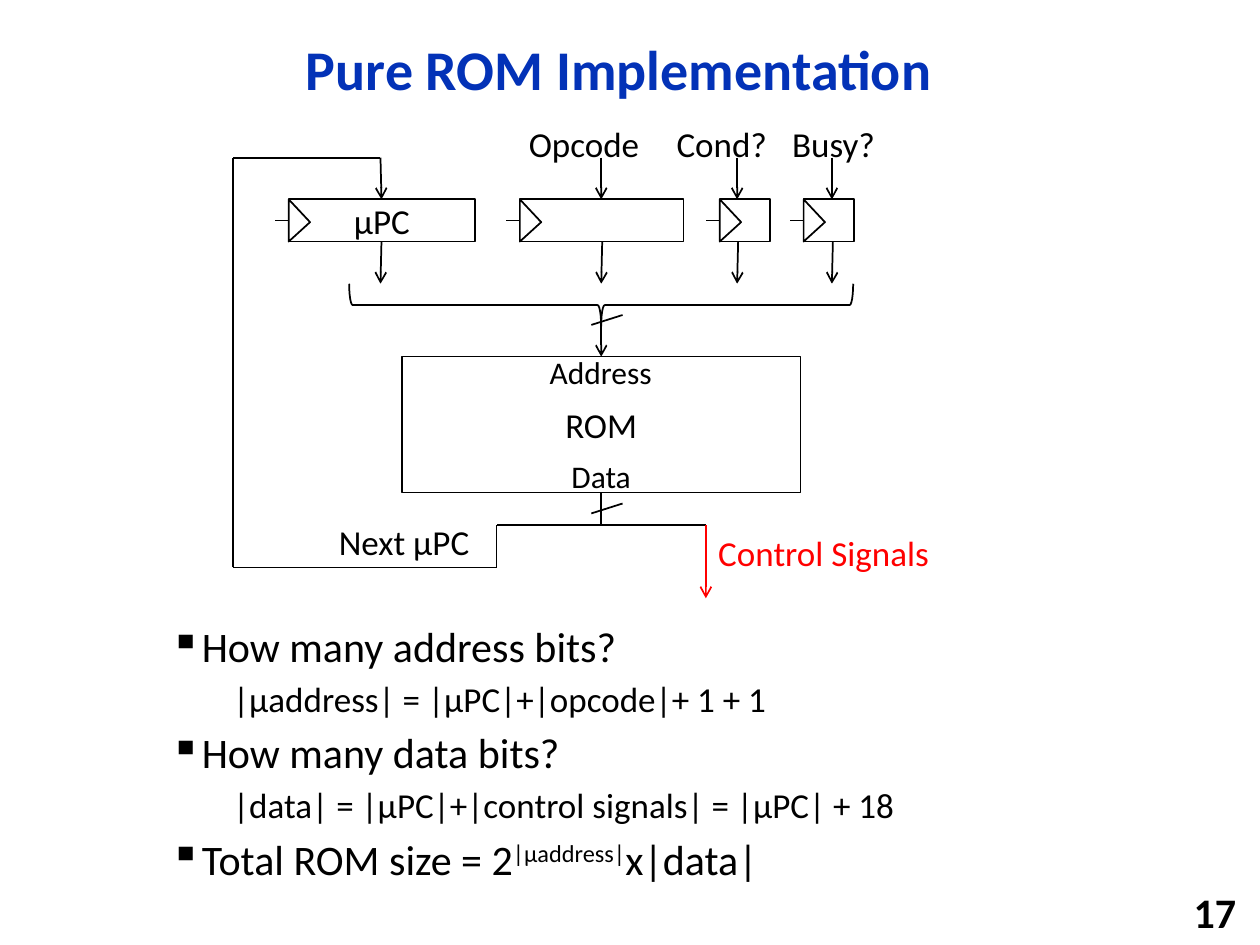
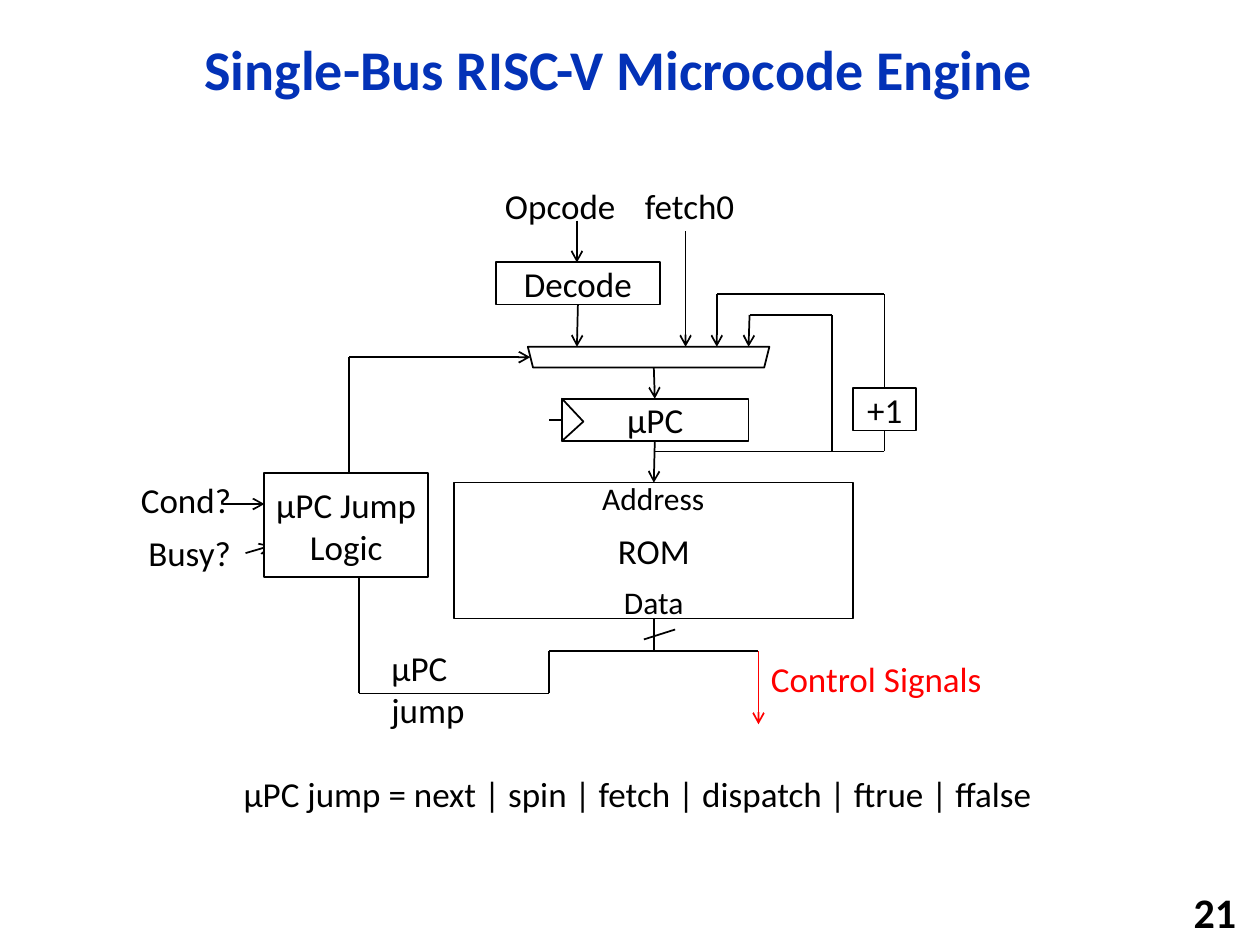
from dataclasses import dataclass
from itertools import pairwise

from lxml import etree
from pptx import Presentation
from pptx.dml.color import RGBColor
from pptx.enum.shapes import MSO_CONNECTOR, MSO_SHAPE
from pptx.enum.text import MSO_ANCHOR, PP_ALIGN
from pptx.oxml.ns import qn
from pptx.util import Cm, Pt

STRAIGHT = MSO_CONNECTOR.STRAIGHT
RECTANGLE, TRIANGLE = MSO_SHAPE.RECTANGLE, MSO_SHAPE.ISOSCELES_TRIANGLE
TRAPEZOID, BRACE = MSO_SHAPE.TRAPEZOID, MSO_SHAPE.LEFT_BRACE
LEFT, CENTER, RIGHT = PP_ALIGN.LEFT, PP_ALIGN.CENTER, PP_ALIGN.RIGHT
TOP, MIDDLE = MSO_ANCHOR.TOP, MSO_ANCHOR.MIDDLE


@dataclass(frozen=True)
class Theme:
    """Colours, type sizes and line width of the deck."""
    font: str = "Calibri"
    title_color: RGBColor = RGBColor(0x03, 0x32, 0xB7)
    ink: RGBColor = RGBColor(0, 0, 0)
    paper: RGBColor = RGBColor(255, 255, 255)
    control: RGBColor = RGBColor(255, 0, 0)
    title: int = 32
    question: int = 24
    label: int = 20
    port: int = 18
    line: float = 1


THEME = Theme()
REGISTER_HEIGHT = 0.85


def write(paragraph, text, *, size=THEME.label, color=THEME.ink, bold=False,
          align=LEFT, raised=0):
    """Add one formatted run to a paragraph."""
    paragraph.alignment = align
    run = paragraph.add_run()
    run.text = text
    run.font.name, run.font.size, run.font.bold = THEME.font, Pt(size), bold
    run.font.color.rgb = color
    if raised:
        run.font._element.set("baseline", str(raised * 1000))


def text_frame(slide, left, top, width, height, anchor=TOP, wrap=True):
    """Add a text box and return its frame."""
    frame = slide.shapes.add_textbox(Cm(left), Cm(top), Cm(width), Cm(height)).text_frame
    frame.word_wrap, frame.vertical_anchor = wrap, anchor
    return frame


def label(slide, text, left, top, width, size=THEME.label, color=THEME.ink):
    """Add a one-line diagram label."""
    frame = text_frame(slide, left, top, width, 0.05 * size + 0.12, wrap=False)
    write(frame.paragraphs[0], text, size=size, color=color)


def block(slide, kind, left, top, width, height, text="", rotation=0):
    """Add a white outlined shape, with centred text if given."""
    shape = slide.shapes.add_shape(kind, Cm(left), Cm(top), Cm(width), Cm(height))
    shape.rotation = rotation
    shape.shadow.inherit = False
    shape.fill.solid()
    shape.fill.fore_color.rgb = THEME.paper
    shape.line.color.rgb = THEME.ink
    shape.line.width = Pt(THEME.line)
    if text:
        frame = shape.text_frame
        frame.word_wrap, frame.vertical_anchor = True, MIDDLE
        frame.margin_left = frame.margin_right = frame.margin_top = frame.margin_bottom = 0
        write(frame.paragraphs[0], text, align=CENTER)
    return shape


def wire(slide, *points, arrow=False, color=THEME.ink):
    """Join points by straight lines, with an arrowhead at the last point if asked."""
    for (x1, y1), (x2, y2) in pairwise(points):
        segment = slide.shapes.add_connector(STRAIGHT, Cm(x1), Cm(y1), Cm(x2), Cm(y2))
        segment.line.color.rgb = color
        segment.line.width = Pt(THEME.line)
        properties = segment._element.spPr
        etree.SubElement(properties, qn("a:effectLst"))
    if arrow:
        etree.SubElement(properties.find(qn("a:ln")), qn("a:tailEnd"), type="arrow")


def register(slide, left, top, width, text=""):
    """Add a clocked register with its clock wire and notch."""
    middle, notch = top + REGISTER_HEIGHT / 2, 0.43
    wire(slide, (left, middle), (left - 0.27, middle))
    block(slide, RECTANGLE, left, top, width, REGISTER_HEIGHT, text)
    clock = block(slide, TRIANGLE, left + (notch - REGISTER_HEIGHT) / 2, middle - notch / 2,
                  REGISTER_HEIGHT, notch, rotation=90)
    clock.adjustments[0] = 0.541


def bus_slash(slide, center, y):
    """Mark a wire as a bus."""
    wire(slide, (center - 0.2, y), (center + 0.43, y - 0.2))


def rom(slide, center, top, jump_text):
    """Add the ROM with its two outputs and return the end of the jump output."""
    width, height, reach = 8.04, 2.74, 2.11
    bottom, fork = top + height, top + 3.4
    block(slide, RECTANGLE, center - width / 2, top, width, height, "ROM")
    label(slide, "Address", center - 1.29, top - 0.2, 2.62, THEME.port)
    label(slide, "Data", center - 0.85, top + 1.9, 1.73, THEME.port)
    wire(slide, (center, bottom), (center, fork))
    bus_slash(slide, center, bottom + 0.42)
    jump_end = (center - reach, fork + 0.85)
    wire(slide, (center + reach, fork), (center - reach, fork), jump_end)
    wire(slide, (center + reach, fork), (center + reach, fork + 1.47),
         arrow=True, color=THEME.control)
    label(slide, "Control Signals", center + reach, fork, 4.83, color=THEME.control)
    label(slide, jump_text, center - 5.54, fork - 0.22, 3.25)
    return jump_end


def new_slide(deck, title, number):
    """Add a blank slide with title and page number."""
    slide = deck.slides.add_slide(deck.slide_layouts[6])
    heading = text_frame(slide, 2.34, 0.43, 20.27, 2.06, MIDDLE).paragraphs[0]
    heading.line_spacing = 0.9
    write(heading, title, size=THEME.title, color=THEME.title_color, bold=True, align=CENTER)
    page = text_frame(slide, 19.89, 17.98, 5.28, 0.81, MIDDLE).paragraphs[0]
    write(page, str(number), size=THEME.question, bold=True, align=RIGHT)
    return slide


def questions(slide, items):
    """List bulleted questions and indented answers, each given as (is_question, runs)."""
    frame = text_frame(slide, 3.18, 12.5, 16.08, 4.65)
    for index, (is_question, runs) in enumerate(items):
        paragraph = frame.add_paragraph() if index else frame.paragraphs[0]
        size = THEME.question if is_question else THEME.label
        paragraph.line_spacing = 0.9
        paragraph.space_before = Pt(0.3 * size if index else 0)
        properties = paragraph._p.get_or_add_pPr()
        properties.set("marL", str(Cm(0.64 if is_question else 1.27)))
        properties.set("indent", str(Cm(-0.64 if is_question else 0)))
        if is_question:
            etree.SubElement(properties, qn("a:buChar"), char="▪")
        for text, raised in runs:
            write(paragraph, text, size=size, raised=raised)


def pure_rom(deck):
    """Build the pure ROM slide."""
    slide = new_slide(deck, "Pure ROM Implementation", 17)
    center, rom_top = 12.12, 7.19
    input_top, register_top, output_end = 3.18, 4.02, 5.72
    register_bottom = register_top + REGISTER_HEIGHT

    register(slide, 5.82, register_top, 3.76, "µPC")
    wire(slide, (7.69, register_bottom), (7.67, output_end), arrow=True)
    for text, text_left, text_width, left, width, port in [
        ("Opcode", 10.41, 2.77, 10.48, 3.3, center),
        ("Cond?", 13.39, 2.34, 14.51, 1.02, 14.86),
        ("Busy?", 15.72, 2.21, 16.2, 1.02, 16.77),
    ]:
        register(slide, left, register_top, width)
        label(slide, text, text_left, 2.34, text_width)
        wire(slide, (port, input_top), (port, register_top), arrow=True)
        wire(slide, (port + 0.02, register_bottom), (port, output_end), arrow=True)

    block(slide, BRACE, center - 0.43, 1.07, 0.86, 10.16, rotation=270)
    jump_end = rom(slide, center, rom_top, "Next µPC")
    wire(slide, (center, 6.58), (center, rom_top), arrow=True)
    bus_slash(slide, center, 6.55)
    wire(slide, jump_end, (4.7, jump_end[1]), (4.7, input_top), (7.67, input_top),
         (7.69, register_top), arrow=True)

    questions(slide, [
        (True, [("How many address bits?", 0)]),
        (False, [("|µaddress| = |µPC|+|opcode|+ 1 + 1", 0)]),
        (True, [("How many data bits?", 0)]),
        (False, [("|data| = |µPC|+|control signals| = |µPC| + 18", 0)]),
        (True, [("Total ROM size = 2", 0), ("|µaddress|", 30), ("x|data|", 0)]),
    ])


def microcode_engine(deck):
    """Build the microcode engine slide."""
    slide = new_slide(deck, "Single-Bus RISC-V Microcode Engine", 21)
    center, rom_top, mux_top, upc_top = 13.18, 9.73, 6.99, 8.04
    decode_x, decode_top, feedback_y, increment_x = 11.63, 5.29, 9.1, 17.83

    label(slide, "Opcode", 9.93, 3.6, 2.77)
    label(slide, "fetch0", 12.75, 3.6, 2.36)
    wire(slide, (decode_x, 4.45), (decode_x, decode_top), arrow=True)
    block(slide, RECTANGLE, 10, decode_top, 3.3, 0.85, "Decode")
    wire(slide, (decode_x + 0.02, decode_top + 0.85), (decode_x, mux_top), arrow=True)
    wire(slide, (13.82, 4.66), (13.82, mux_top), arrow=True)
    block(slide, TRAPEZOID, 10.64, mux_top, 4.87, 0.42, rotation=180)
    wire(slide, (center, mux_top + 0.42), (center + 0.02, upc_top), arrow=True)
    register(slide, 11.33, upc_top, 3.76, "µPC")
    jump_end = rom(slide, center, rom_top, "µPC jump")
    wire(slide, (center + 0.02, upc_top + REGISTER_HEIGHT), (center, rom_top), arrow=True)

    wire(slide, (center, feedback_y), (increment_x, feedback_y), (increment_x, 8.68))
    wire(slide, (16.77, feedback_y), (16.77, 6.35), (15.11, 6.35), (15.09, mux_top), arrow=True)
    block(slide, RECTANGLE, 17.2, 7.83, 1.27, 0.85, "+1")
    wire(slide, (increment_x, 7.83), (increment_x, 5.93), (14.45, 5.93), (14.45, mux_top),
         arrow=True)

    label(slide, "Cond?", 2.59, 9.53, 2.34)
    label(slide, "Busy?", 2.74, 10.59, 2.21)
    wire(slide, (4.5, 10.16), (5.33, 10.16), arrow=True)
    wire(slide, (4.95, 11.15), (5.46, 11), arrow=True)
    block(slide, RECTANGLE, 5.33, 9.53, 3.3, 2.11, "µPC Jump Logic")
    wire(slide, jump_end, (7.24, jump_end[1]), (7.24, 11.64))
    wire(slide, (7.04, 9.53), (7.04, 7.2), (10.69, 7.2), arrow=True)
    label(slide, "µPC jump = next | spin | fetch | dispatch | ftrue | ffalse", 4.66, 15.45, 16.59)


def main():
    """Build and save the deck."""
    deck = Presentation()
    deck.slide_width, deck.slide_height = Cm(25.4), Cm(19.05)
    pure_rom(deck)
    microcode_engine(deck)
    deck.save("out.pptx")


if __name__ == "__main__":
    main()
